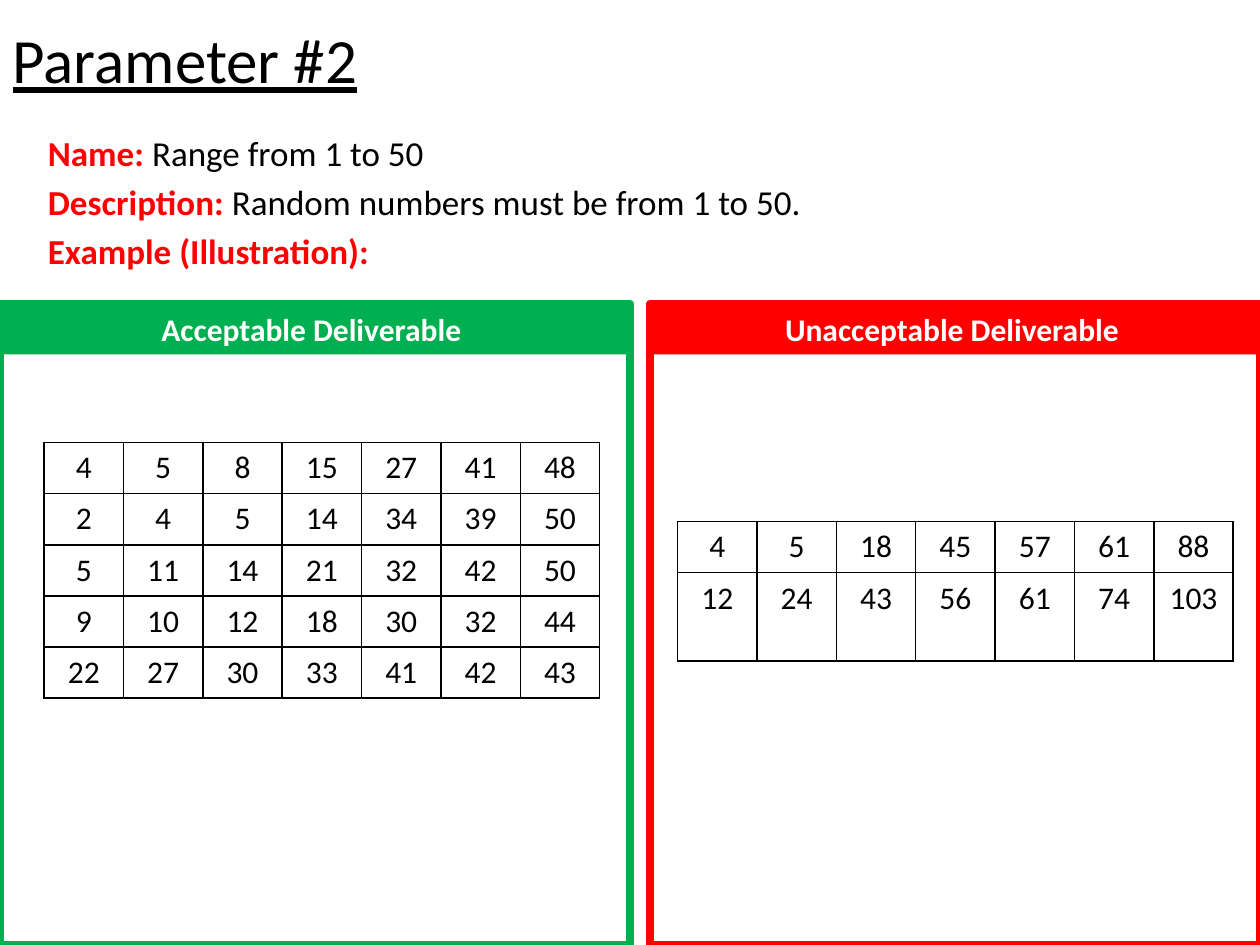
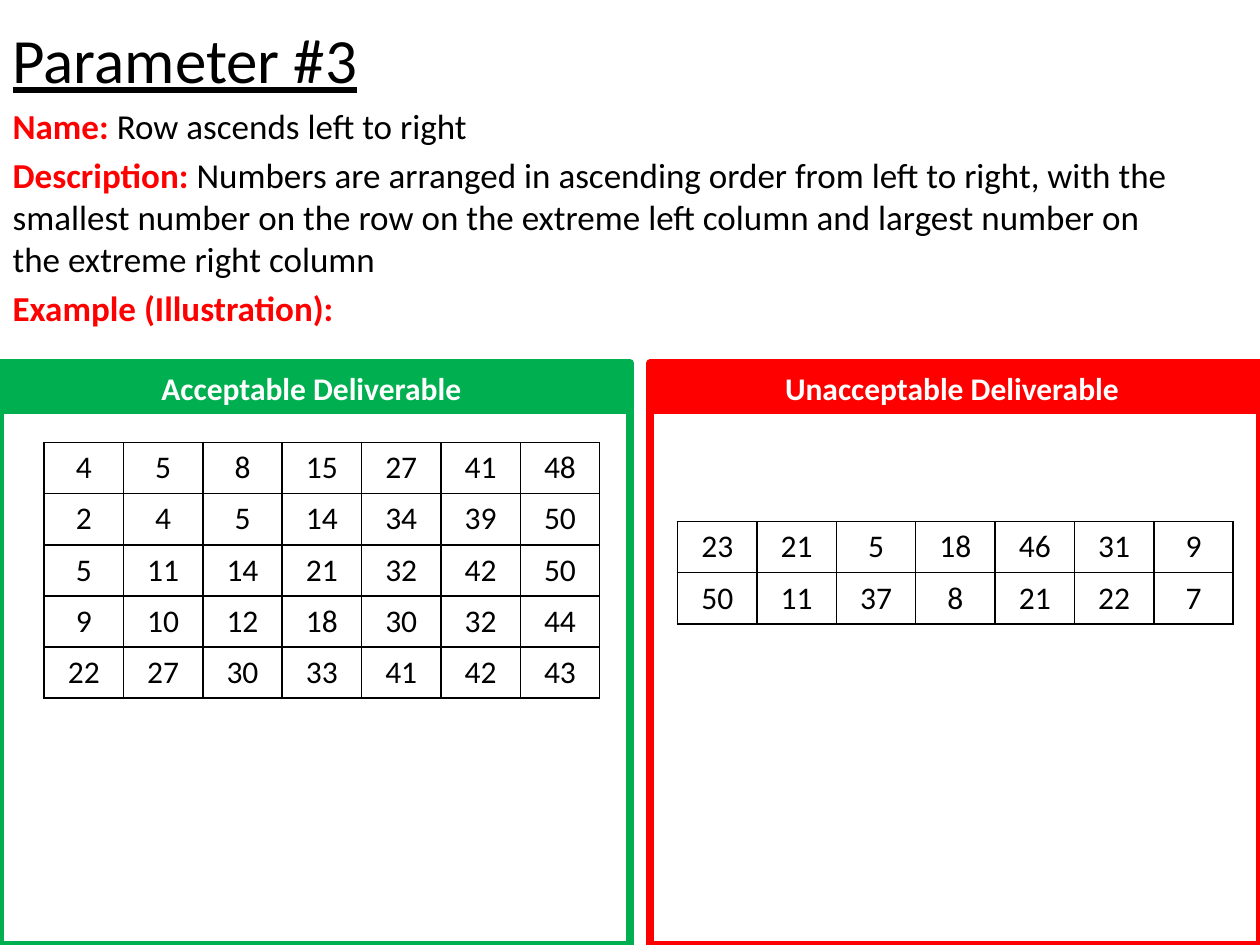
from lxml import etree
from pptx import Presentation, util as u
from pptx.dml.color import RGBColor
from pptx.enum import shapes, text
from pptx.oxml import ns

COLOURS = {"ink": "000000", "label": "FF0000", "good": "00B050", "bad": "FF0000", "white": "FFFFFF"}
FORMATS = {
    "title": {"size": u.Pt(36), "underline": True},
    "label": {"size": u.Pt(20), "bold": True},
    "detail": {"size": u.Pt(20), "bold": False},
    "header": {"size": u.Pt(18), "bold": True},
    "number": {"size": u.Pt(18), "bold": False},
}
SLIDE_WIDTH, SLIDE_HEIGHT = 720, 540
HEADER_HEIGHT = 29
COLUMN_WIDTH, ROW_HEIGHT = 45.36, 29.15

ascending_rows = [
    [4, 5, 8, 15, 27, 41, 48],
    [2, 4, 5, 14, 34, 39, 50],
    [5, 11, 14, 21, 32, 42, 50],
    [9, 10, 12, 18, 30, 32, 44],
    [22, 27, 30, 33, 41, 42, 43],
]
parameters = [
    {
        "title": "Parameter #2", "body_at": (20.16, 71.28), "panel_top": 173.5,
        "lines": [("Name: ", "Range from 1 to 50"),
                  ("Description: ", "Random numbers must be from 1 to 50."),
                  ("Example (Illustration):", "")],
        "bad_rows": [[4, 5, 18, 45, 57, 61, 88], [12, 24, 43, 56, 61, 74, 103]],
        "last_bad_height": 50.4,
    },
    {
        "title": "Parameter #3", "body_at": (0, 56.16), "panel_top": 207.5,
        "lines": [("Name: ", "Row ascends left to right"),
                  ("Description: ", "Numbers are arranged in ascending order from left to right, "
                   "with the smallest number on the row on the extreme left column and "
                   "largest number on the extreme right column"),
                  ("Example (Illustration):", "")],
        "bad_rows": [[23, 21, 5, 18, 46, 31, 9], [50, 11, 37, 8, 21, 22, 7]],
        "last_bad_height": ROW_HEIGHT,
    },
]


def add_span(para, words, style, colour):
    span = para.add_run()
    span.text = words
    span.font.name = "Calibri"
    span.font.color.rgb = RGBColor.from_string(COLOURS[colour])
    for name, value in FORMATS[style].items():
        setattr(span.font, name, value)


def place(box, left, top, width, height):
    for name, value in zip(("left", "top", "width", "height"), (left, top, width, height)):
        setattr(box, name, u.Pt(value))


deck = Presentation()
deck.slide_width, deck.slide_height = u.Pt(SLIDE_WIDTH), u.Pt(SLIDE_HEIGHT)

for parameter in parameters:
    page = deck.slides.add_slide(deck.slide_layouts[1])

    # Title
    title = page.shapes.title
    place(title, 0, 0, 648, 67)
    title.text_frame.auto_size = text.MSO_AUTO_SIZE.NONE
    para = title.text_frame.paragraphs[0]
    para.alignment = text.PP_ALIGN.LEFT
    add_span(para, parameter["title"], "title", "ink")

    # Name, description and example lines
    body = page.placeholders[1]
    place(body, *parameter["body_at"], 686, 356.4)
    frame = body.text_frame
    frame.auto_size = text.MSO_AUTO_SIZE.NONE
    for index, (label, detail) in enumerate(parameter["lines"]):
        para = frame.add_paragraph() if index else frame.paragraphs[0]
        para.space_before = u.Pt(4)
        properties = para._p.get_or_add_pPr()
        properties.set("marL", "0")
        properties.set("indent", "0")
        etree.SubElement(properties, ns.qn("a:buNone"))
        add_span(para, label, "label", "label")
        if detail:
            add_span(para, detail, "detail", "ink")

    # Framed panels, each with a header band and a number table
    top = parameter["panel_top"]
    panels = [
        ("Acceptable Deliverable ", "good", 0, 0, 360, ascending_rows, 25.2, 252.9, ROW_HEIGHT),
        ("Unacceptable Deliverable ", "bad", 371.5, 372.2, SLIDE_WIDTH, parameter["bad_rows"],
         387.2, 298.1, parameter["last_bad_height"]),
    ]
    for heading, colour, left, header_left, right, rows, table_left, table_top, last_height in panels:
        paint = RGBColor.from_string(COLOURS[colour])
        outline, header = [page.shapes.add_shape(shapes.MSO_SHAPE.RECTANGLE, 0, 0, 0, 0) for _ in range(2)]
        place(outline, left, top, right - left, SLIDE_HEIGHT - top)
        place(header, header_left, top, right - header_left, HEADER_HEIGHT)
        outline.shadow.inherit = header.shadow.inherit = False
        outline.fill.background()
        outline.line.color.rgb = paint
        outline.line.width = u.Pt(4.25)
        header.fill.solid()
        header.fill.fore_color.rgb = paint
        header.line.fill.background()
        header.text_frame.word_wrap = True
        header.text_frame.vertical_anchor = text.MSO_ANCHOR.TOP
        para = header.text_frame.paragraphs[0]
        para.alignment = text.PP_ALIGN.CENTER
        add_span(para, heading, "header", "white")

        heights = [ROW_HEIGHT] * (len(rows) - 1) + [last_height]
        grid = page.shapes.add_table(
            len(rows), len(rows[0]), u.Pt(table_left), u.Pt(table_top),
            u.Pt(COLUMN_WIDTH * len(rows[0])), u.Pt(sum(heights))).table
        grid.first_row = grid.horz_banding = False
        for column in grid.columns:
            column.width = u.Pt(COLUMN_WIDTH)
        for row, height, numbers in zip(grid.rows, heights, rows):
            row.height = u.Pt(height)
            for cell, number in zip(row.cells, numbers):
                para = cell.text_frame.paragraphs[0]
                para.alignment = text.PP_ALIGN.CENTER
                add_span(para, str(number), "number", "ink")
                borders = cell._tc.get_or_add_tcPr()
                for side in ("lnL", "lnR", "lnT", "lnB"):
                    border = etree.SubElement(borders, ns.qn("a:" + side), w=str(u.Pt(0.96)))
                    solid = etree.SubElement(border, ns.qn("a:solidFill"))
                    etree.SubElement(solid, ns.qn("a:srgbClr"), val=COLOURS["ink"])
                cell.fill.background()

deck.save("out.pptx")
